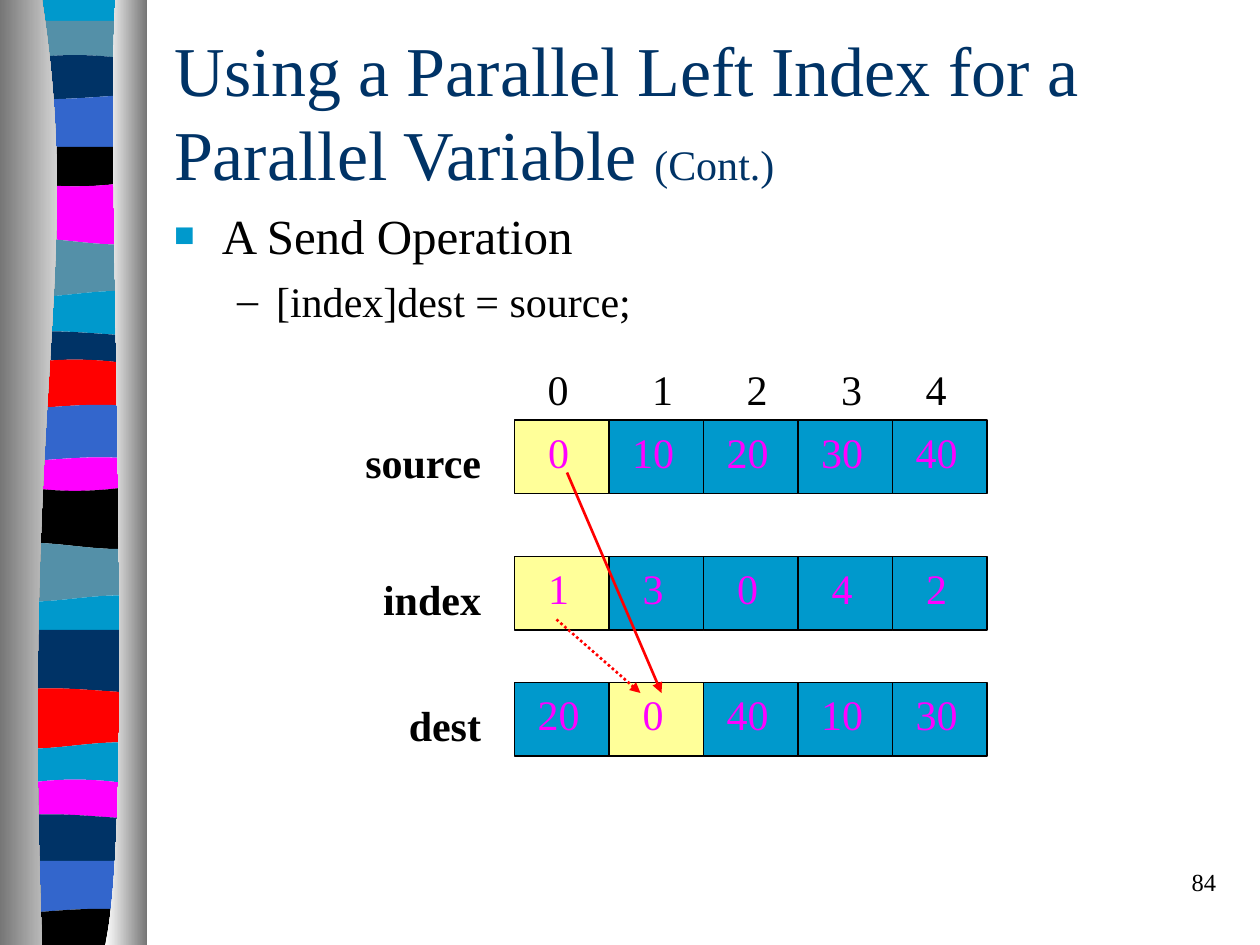
from lxml.etree import Element, SubElement
from pptx import Presentation
from pptx.dml.color import RGBColor
from pptx.enum.dml import MSO_LINE_DASH_STYLE as Dash
from pptx.enum.shapes import MSO_CONNECTOR, MSO_SHAPE
from pptx.enum.text import MSO_ANCHOR as Anchor, PP_ALIGN as Align
from pptx.oxml.ns import qn
from pptx.util import Inches, Pt

FONT = "Times New Roman"
BLACK = RGBColor(0x00, 0x00, 0x00)
WHITE = RGBColor(0xFF, 0xFF, 0xFF)
GRAY = RGBColor(0x76, 0x76, 0x76)
NAVY = RGBColor(0x00, 0x33, 0x66)
CYAN = RGBColor(0x00, 0x99, 0xCC)
TEAL = RGBColor(0x54, 0x90, 0xA8)
BLUE = RGBColor(0x33, 0x66, 0xCC)
MAGENTA = RGBColor(0xFF, 0x00, 0xFF)
RED = RGBColor(0xFF, 0x00, 0x00)
YELLOW = RGBColor(0xFF, 0xFF, 0x99)

presentation = Presentation()
presentation.slide_width = Inches(10)
presentation.slide_height = Inches(7.5)
slide = presentation.slides.add_slide(presentation.slide_layouts[6])
shapes = slide.shapes
UNIT = presentation.slide_width // 120
ROWS = 90


def add_text(column, row, columns, rows, runs, align=Align.LEFT, anchor=Anchor.TOP):
    box = shapes.add_textbox(column * UNIT, row * UNIT, columns * UNIT, rows * UNIT)
    frame = box.text_frame
    frame.word_wrap = True
    frame.vertical_anchor = anchor
    paragraph = frame.paragraphs[0]
    paragraph.alignment = align
    for text, size, color, bold in runs:
        run = paragraph.add_run()
        run.text = text
        run.font.name = FONT
        run.font.size = Pt(size)
        run.font.color.rgb = color
        run.font.bold = bold
    return box


FLAT, CREST, SWELL = (0, 0), (-0.6, -0.5), (0.7, 0.7)
RISE_FALL, FALL_RISE, ARCH, RIPPLE = (-0.7, 1), (1, -1), (-0.4, -1), (0.6, -0.2)
bands = [
    (CYAN, 0, FLAT), (TEAL, 2.5, CREST), (NAVY, 5.5, CREST), (BLUE, 9.2, RIPPLE),
    (BLACK, 14.5, ARCH), (MAGENTA, 16.8, SWELL), (TEAL, 22.6, RISE_FALL), (CYAN, 27.8, FALL_RISE),
    (NAVY, 32, CREST), (RED, 34.9, CREST), (BLUE, 38.7, RIPPLE), (MAGENTA, 44, ARCH),
    (BLACK, 46.3, SWELL), (TEAL, 52.1, RISE_FALL), (CYAN, 57.4, FALL_RISE), (NAVY, 59.9, FLAT),
    (RED, 65.5, RISE_FALL), (CYAN, 70.9, FALL_RISE), (MAGENTA, 75, CREST), (NAVY, 78, CREST),
    (BLUE, 81.8, RIPPLE), (BLACK, 87.1, ARCH), (None, ROWS, FLAT),
]
edges = [[(0.7, row), (4.3, row + left_bend), (10, row + right_bend), (13.7, row)]
         for _, row, (left_bend, right_bend) in bands]
outlines = [(top + bottom[::-1], (0, 4), [band[0]])
            for band, top, bottom in zip(bands, edges, edges[1:])]
left_pillar = [(4.3, 0), (8.5, 26), (2, 35.6), (4.2, ROWS), (0, ROWS), (0, 0)]
right_pillar = [(10.6, 0), (10.1, 15), (13.3, 77.6), (10.1, ROWS), (13.9, ROWS), (13.9, 0)]
outlines += [(left_pillar, (0,), [GRAY, WHITE]), (right_pillar, (0,), [WHITE, GRAY])]

for points, curve_starts, colors in outlines:
    builder = shapes.build_freeform(*points[0], scale=UNIT)
    builder.add_line_segments(points[1:], close=True)
    shape = builder.convert_to_shape()
    segments = list(shape._element.iter(qn("a:lnTo")))
    for start in curve_starts:
        cubic = Element(qn("a:cubicBezTo"))
        segments[start].addprevious(cubic)
        for segment in segments[start:start + 3]:
            cubic.append(segment[0])
            segment.getparent().remove(segment)
    shape.shadow.inherit = False
    shape.line.fill.background()
    if len(colors) == 1:
        shape.fill.solid()
        shape.fill.fore_color.rgb = colors[0]
    else:
        shape.fill.gradient()
        shape.fill.gradient_angle = 0
        for stop, color in zip(shape.fill.gradient_stops, colors):
            stop.color.rgb = color

add_text(15.4, 6, 102, 9, [("Using a Parallel Left Index for a Parallel Variable ", 40, NAVY, False),
                           ("(Cont.)", 24, NAVY, False)], anchor=Anchor.MIDDLE)

body = add_text(15.4, 19, 102, 61, [("A Send Operation", 28, BLACK, False)])
second = body.text_frame.add_paragraph()
second.level = 1
second.space_before = Pt(6)
run = second.add_run()
run.text = "[index]dest = source;"
run.font.name = FONT
run.font.size = Pt(24)
run.font.color.rgb = BLACK
bullets = [("■", CYAN, 70, 0.38, 0.38), ("–", BLACK, 100, 0.81, 0.31)]
for paragraph, (mark, color, percent, margin, hang) in zip(body.text_frame.paragraphs, bullets):
    properties = paragraph._p.get_or_add_pPr()
    properties.set("marL", str(Inches(margin)))
    properties.set("indent", str(-Inches(hang)))
    SubElement(SubElement(properties, qn("a:buClr")), qn("a:srgbClr"), val=str(color))
    SubElement(properties, qn("a:buSzPct"), val=str(percent * 1000))
    SubElement(properties, qn("a:buFont"), typeface=FONT)
    SubElement(properties, qn("a:buChar"), char=mark)

CELL_LEFT, CELL_WIDTH, CELL_HEIGHT = 49, 9, 7
header = add_text(47, 34, 47, 6, [("0\t1\t2\t3\t4", 24, BLACK, False)])
header.text_frame.margin_left = Inches(0.43)
tabs = SubElement(header.text_frame.paragraphs[0]._p.get_or_add_pPr(), qn("a:tabLst"))
for position in (0.83, 1.58, 2.33, 3):
    SubElement(tabs, qn("a:tab"), pos=str(Inches(position)), algn="l")

arrays = [("source", 40, (0, 10, 20, 30, 40), 0),
          ("index", 53, (1, 3, 0, 4, 2), 0),
          ("dest", 65, (20, 0, 40, 10, 30), 1)]
for name, row, values, marked in arrays:
    add_text(28, row + 1, 19, 6, [(name, 24, BLACK, True)], Align.RIGHT)
    for index, value in enumerate(values):
        cell = shapes.add_shape(MSO_SHAPE.RECTANGLE, (CELL_LEFT + index * CELL_WIDTH) * UNIT,
                                row * UNIT, CELL_WIDTH * UNIT, CELL_HEIGHT * UNIT)
        cell.shadow.inherit = False
        cell.fill.solid()
        cell.fill.fore_color.rgb = YELLOW if index == marked else CYAN
        cell.line.color.rgb = BLACK
        cell.line.width = Pt(0.75)
        frame = cell.text_frame
        frame.vertical_anchor = Anchor.TOP
        frame.margin_right = Inches(0.15)
        paragraph = frame.paragraphs[0]
        paragraph.alignment = Align.CENTER
        run = paragraph.add_run()
        run.text = str(value)
        run.font.name = FONT
        run.font.size = Pt(24)
        run.font.color.rgb = MAGENTA

arrows = [((53, 59), (61, 66), Dash.ROUND_DOT), ((54, 45), (63, 66), Dash.SOLID)]
for start, end, dash in arrows:
    arrow = shapes.add_connector(MSO_CONNECTOR.STRAIGHT, *(UNIT * place for place in start + end))
    arrow.line.color.rgb = RED
    arrow.line.width = Pt(1.5)
    arrow.line.dash_style = dash
    SubElement(arrow.line._get_or_add_ln(), qn("a:tailEnd"), type="triangle")
    SubElement(arrow._element.spPr, qn("a:effectLst"))

add_text(92, 82, 25, 6, [("84", 14, BLACK, False)], Align.RIGHT)

presentation.save("out.pptx")
